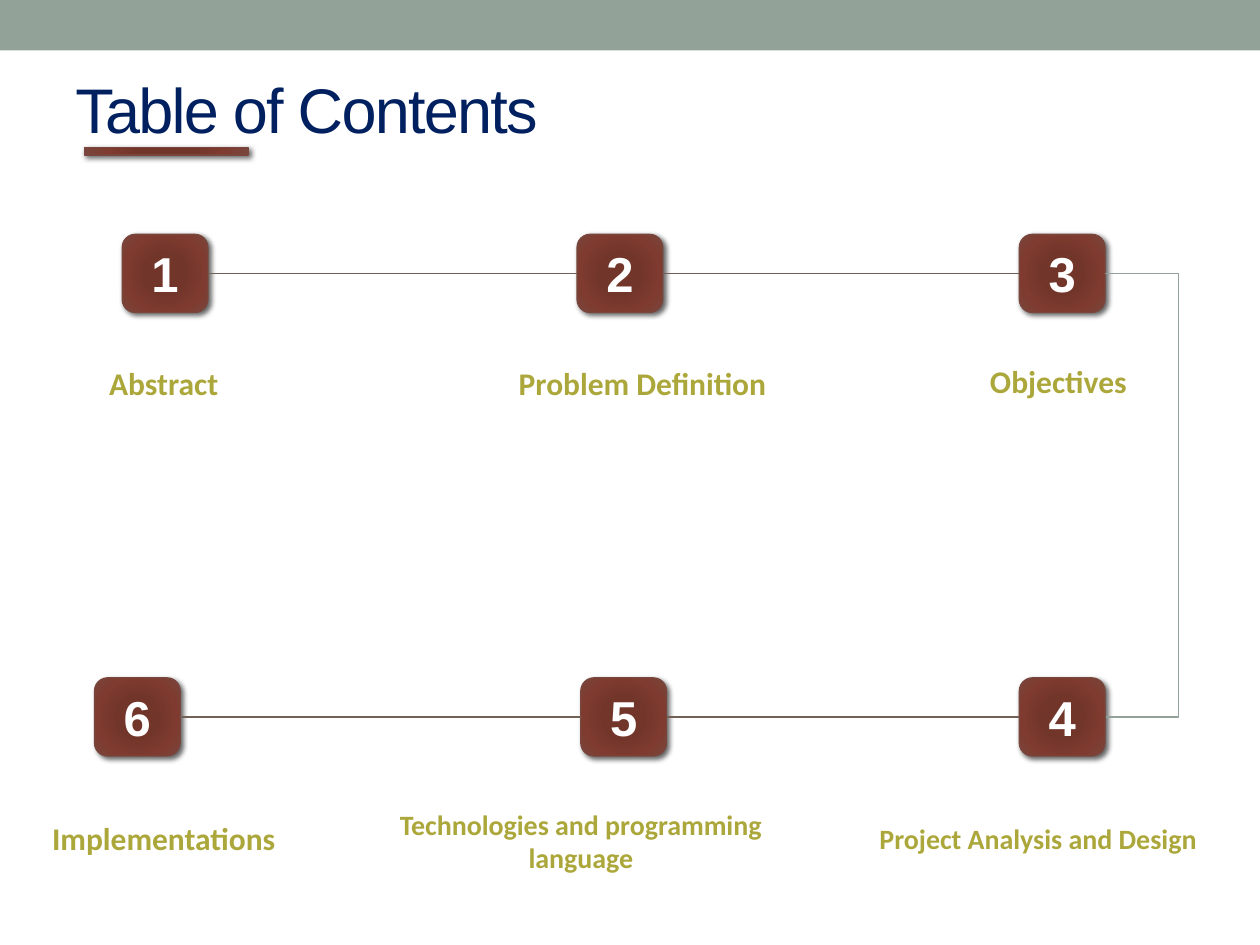
from lxml import etree
from pptx import Presentation
from pptx import util as u
from pptx.dml.color import RGBColor
from pptx.enum import shapes, text
from pptx.oxml import parse_xml
from pptx.oxml.ns import nsdecls, qn

presentation = Presentation()
presentation.slide_width, presentation.slide_height = u.Inches(10), u.Inches(7.5)
slide = presentation.slides.add_slide(presentation.slide_layouts[6])

# Square grid: 100 columns by 75 rows
CELL = presentation.slide_width / 100
BADGE_WIDTH, BADGE_HEIGHT = 6.8, 6.2
TOP_ROW, BOTTOM_ROW = 18.6, 53.8
LABEL_HEIGHT = 6.2
GRADIENT = [(0, "743327"), (34, "72352A"), (70, "7F3B2F"), (100, "79463D")]


def place(kind, left, top, width, height, fill=None):
    """Add a shape in grid cells; without a fill colour it gets the brown badge style."""
    shape = slide.shapes.add_shape(kind, *(u.Emu(round(n * CELL)) for n in (left, top, width, height)))
    shape.shadow.inherit = False
    if fill:
        shape.fill.solid()
        shape.fill.fore_color.rgb = RGBColor.from_string(fill)
        shape.line.fill.background()
        return shape
    shape.line.color.rgb = RGBColor.from_string("79463D")
    shape.line.width = u.Pt(0.75)
    stops = "".join(f'<a:gs pos="{pos * 1000}"><a:srgbClr val="{color}"/></a:gs>' for pos, color in GRADIENT)
    properties = shape._element.spPr
    properties.find(qn("a:prstGeom")).addnext(parse_xml(
        f'<a:gradFill {nsdecls("a")} rotWithShape="1"><a:gsLst>{stops}</a:gsLst><a:path path="circle">'
        '<a:fillToRect l="100000" t="100000" r="100000" b="100000"/></a:path></a:gradFill>'))
    properties.find(qn("a:effectLst")).append(parse_xml(
        f'<a:outerShdw {nsdecls("a")} blurRad="{u.Pt(3)}" dist="{u.Pt(2)}" dir="2700000" rotWithShape="0">'
        '<a:srgbClr val="000000"><a:alpha val="60000"/></a:srgbClr></a:outerShdw>'))
    return shape


def write(shape, words, size, font, color, anchor, align=text.PP_ALIGN.CENTER, bold=True):
    frame = shape.text_frame
    frame.word_wrap = True
    frame.vertical_anchor = anchor
    frame.margin_left = frame.margin_right = frame.margin_top = frame.margin_bottom = u.Inches(0.1)
    paragraph = frame.paragraphs[0]
    paragraph.text = words
    paragraph.alignment = align
    paragraph.font.size, paragraph.font.name, paragraph.font.bold = u.Pt(size), font, bold
    paragraph.font.color.rgb = RGBColor.from_string(color)
    return paragraph


# Header
place(shapes.MSO_SHAPE.RECTANGLE, 0, 0, 100, 4, "93A299")
title = slide.shapes.add_textbox(*(u.Emu(round(n * CELL)) for n in (5, 4.6, 90, 8)))
paragraph = write(title, "Table of Contents", 36, "Arial", "002060",
                  text.MSO_ANCHOR.TOP, text.PP_ALIGN.LEFT, False)
paragraph.runs[0].font._element.set("spc", "-100")
place(shapes.MSO_SHAPE.RECTANGLE, 6.7, 11.7, 13, 0.6)

# Steps: badge left, badge top, label, label left, label top, label width, label size
steps = [
    (9.7, TOP_ROW, "Abstract", 0, 26.7, 26, 18),
    (45.8, TOP_ROW, "Problem Definition", 36.2, 26.7, 29.6, 18),
    (80.9, TOP_ROW, "Objectives", 71, 26.5, 26, 18),
    (80.9, BOTTOM_ROW, "Project Analysis and Design", 64.1, 62.7, 36.6, 16),
    (46.1, BOTTOM_ROW, "Technologies and programming language", 27.7, 64.2, 36.8, 16),
    (7.5, BOTTOM_ROW, "Implementations", 0, 62.8, 26, 18),
]
badges = []
for number, (left, top, label, label_left, label_top, label_width, size) in enumerate(steps, 1):
    badge = place(shapes.MSO_SHAPE.ROUNDED_RECTANGLE, left, top, BADGE_WIDTH, BADGE_HEIGHT)
    write(badge, str(number), 28, "Arial", "FFFFFF", text.MSO_ANCHOR.MIDDLE)
    badges.append(badge)
    box = slide.shapes.add_textbox(
        *(u.Emu(round(n * CELL)) for n in (label_left, label_top, label_width, LABEL_HEIGHT)))
    write(box, label, size, "Calibri", "ACA73B", text.MSO_ANCHOR.BOTTOM)

# Connectors: straight along each row, one bent turn from step 3 to step 4
for start, end in [(0, 1), (1, 2), (5, 4), (4, 3), (2, 3)]:
    turn = (start, end) == (2, 3)
    kind = shapes.MSO_CONNECTOR.ELBOW if turn else shapes.MSO_CONNECTOR.STRAIGHT
    first, last = badges[start], badges[end]
    right = first.left + first.width
    middles = [badge.top + badge.height // 2 for badge in (first, last)]
    # The bent line needs a width to measure its bulge by
    end_x = right + round(0.1 * CELL) if turn else last.left
    line = slide.shapes.add_connector(kind, right, middles[0], end_x, middles[1])
    line.line.width = u.Pt(0.75)
    line.line.color.rgb = RGBColor.from_string("93A299" if turn else "726056")
    etree.SubElement(line._element.spPr, qn("a:effectLst"))
    if turn:
        bulge = 5.9 / 0.1
        guides = line._element.spPr.find(qn("a:prstGeom")).find(qn("a:avLst"))
        etree.SubElement(guides, qn("a:gd"), name="adj1", fmla=f"val {round(bulge * 100000)}")
    else:
        line.begin_connect(first, 3)
        line.end_connect(last, 1)

presentation.save("out.pptx")
